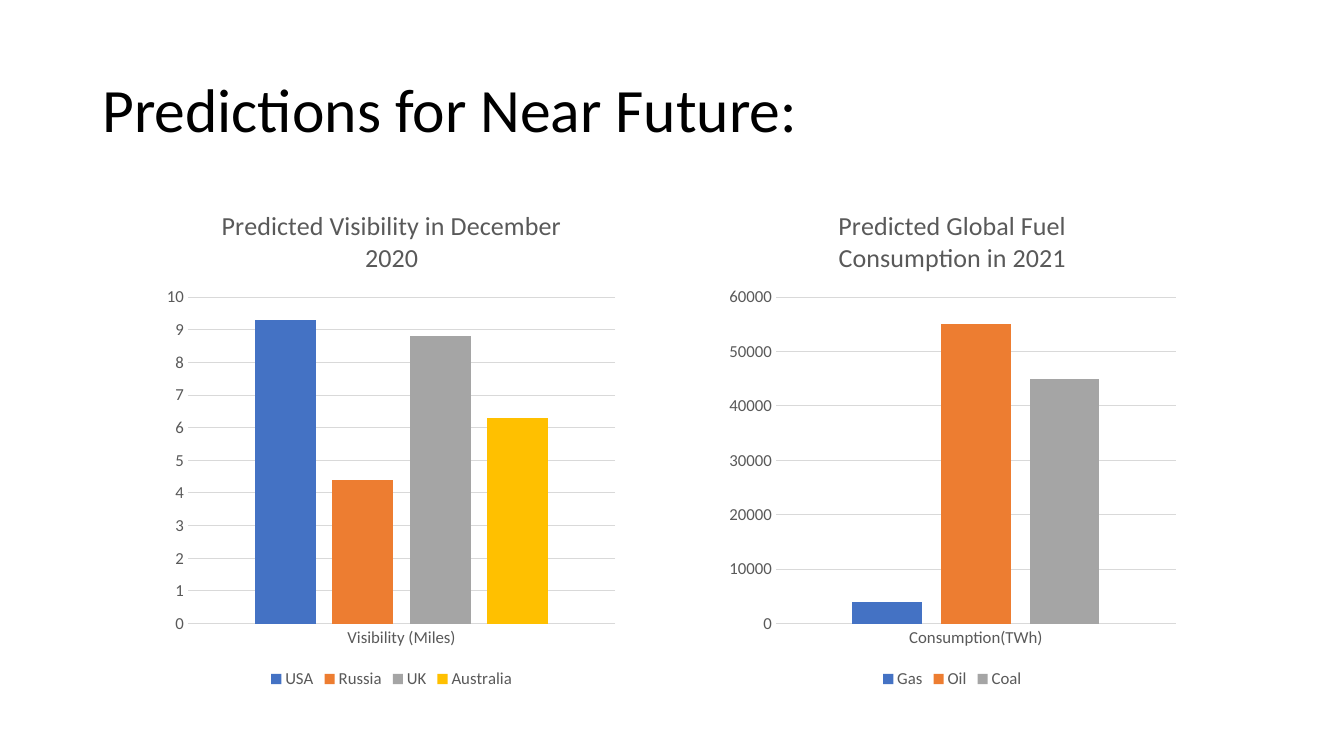
from dataclasses import dataclass

from lxml.etree import SubElement
from pptx import Presentation
from pptx.chart.chart import Chart
from pptx.chart.data import CategoryChartData
from pptx.dml.color import RGBColor
from pptx.enum.chart import XL_CHART_TYPE, XL_LEGEND_POSITION, XL_TICK_MARK
from pptx.enum.text import MSO_ANCHOR, PP_ALIGN
from pptx.oxml import parse_xml
from pptx.oxml.ns import nsdecls, qn
from pptx.slide import Slide
from pptx.text.text import Font
from pptx.util import Emu, Pt

FONT = "Calibri"
GREY_TEXT = "595959"
GREY_LINE = "D9D9D9"
SERIES_COLOURS = ("4472C4", "ED7D31", "A5A5A5", "FFC000")
CHART_TOP, CHART_WIDTH, CHART_HEIGHT = 178, 444, 482
PLOT_TOP, PLOT_HEIGHT, PLOT_RIGHT = 105, 311, 435


@dataclass
class Forecast:
    title: str
    category: str
    values: dict[str, float]
    left: int
    plot_left: int
    maximum: int
    step: int


FORECASTS = (
    Forecast(
        "Predicted Visibility in December 2020",
        "Visibility (Miles)",
        {"USA": 9.3, "Russia": 4.4, "UK": 8.8, "Australia": 6.3},
        left=151, plot_left=28, maximum=10, step=1,
    ),
    Forecast(
        "Predicted Global Fuel Consumption in 2021",
        "Consumption(TWh)",
        {"Gas": 4000, "Oil": 55000, "Coal": 45000},
        left=685, plot_left=54, maximum=60000, step=10000,
    ),
)


def px(length: int) -> Emu:
    return Emu(length * 9525)


def colour(value: str) -> RGBColor:
    return RGBColor.from_string(value)


def set_font(font: Font, size: float, value: str) -> None:
    font.name = FONT
    font.size = Pt(size)
    font.bold = False
    font.color.rgb = colour(value)


def place_plot(chart: Chart, plot_left: int) -> None:
    plot_area = chart.element.find(".//" + qn("c:plotArea"))
    for old_layout in plot_area.findall(qn("c:layout")):
        plot_area.remove(old_layout)
    layout = parse_xml(f"<c:layout {nsdecls('c')}/>")
    manual = SubElement(layout, qn("c:manualLayout"))
    settings = {
        "layoutTarget": "inner",
        "xMode": "edge",
        "yMode": "edge",
        "x": plot_left / CHART_WIDTH,
        "y": PLOT_TOP / CHART_HEIGHT,
        "w": (PLOT_RIGHT - plot_left) / CHART_WIDTH,
        "h": PLOT_HEIGHT / CHART_HEIGHT,
    }
    for name, value in settings.items():
        SubElement(manual, qn(f"c:{name}")).set("val", str(value))
    plot_area.insert(0, layout)


def format_axes(chart: Chart, forecast: Forecast) -> None:
    for axis in (chart.category_axis, chart.value_axis):
        axis.major_tick_mark = XL_TICK_MARK.NONE
        axis.minor_tick_mark = XL_TICK_MARK.NONE
        set_font(axis.tick_labels.font, 12, GREY_TEXT)
    chart.value_axis.minimum_scale = 0
    chart.value_axis.maximum_scale = forecast.maximum
    chart.value_axis.major_unit = forecast.step
    chart.value_axis.has_major_gridlines = True
    chart.value_axis.format.line.fill.background()
    for line in (chart.category_axis.format.line,
                 chart.value_axis.major_gridlines.format.line):
        line.color.rgb = colour(GREY_LINE)
        line.width = Pt(0.75)


def add_forecast(page: Slide, forecast: Forecast) -> None:
    data = CategoryChartData()
    data.categories = [forecast.category]
    for name, value in forecast.values.items():
        data.add_series(name, [value])
    chart = page.shapes.add_chart(
        XL_CHART_TYPE.COLUMN_CLUSTERED, px(forecast.left), px(CHART_TOP),
        px(CHART_WIDTH), px(CHART_HEIGHT), data,
    ).chart
    set_font(chart.font, 10, "000000")

    chart.has_title = True
    chart.chart_title.include_in_layout = False
    heading = chart.chart_title.text_frame
    heading.text = forecast.title
    set_font(heading.paragraphs[0].font, 18.6, GREY_TEXT)

    chart.has_legend = True
    chart.legend.position = XL_LEGEND_POSITION.BOTTOM
    chart.legend.include_in_layout = False
    set_font(chart.legend.font, 12, GREY_TEXT)

    plot = chart.plots[0]
    plot.gap_width = 219
    plot.overlap = -27
    plot.vary_by_categories = False
    for series, fill_colour in zip(plot.series, SERIES_COLOURS):
        series.format.fill.solid()
        series.format.fill.fore_color.rgb = colour(fill_colour)

    format_axes(chart, forecast)
    place_plot(chart, forecast.plot_left)


def add_title(page: Slide, text: str) -> None:
    box = page.shapes.title
    box.left, box.top, box.width, box.height = map(px, (88, 38, 1104, 139))
    frame = box.text_frame
    frame.text = text
    frame.word_wrap = True
    frame.vertical_anchor = MSO_ANCHOR.MIDDLE
    para = frame.paragraphs[0]
    para.alignment = PP_ALIGN.LEFT
    para.line_spacing = 0.9
    set_font(para.font, 44, "000000")


def main() -> None:
    deck = Presentation()
    deck.slide_width, deck.slide_height = px(1280), px(720)
    page = deck.slides.add_slide(deck.slide_layouts.get_by_name("Title Only"))
    add_title(page, "Predictions for Near Future:")
    for forecast in FORECASTS:
        add_forecast(page, forecast)
    deck.save("out.pptx")


if __name__ == "__main__":
    main()
